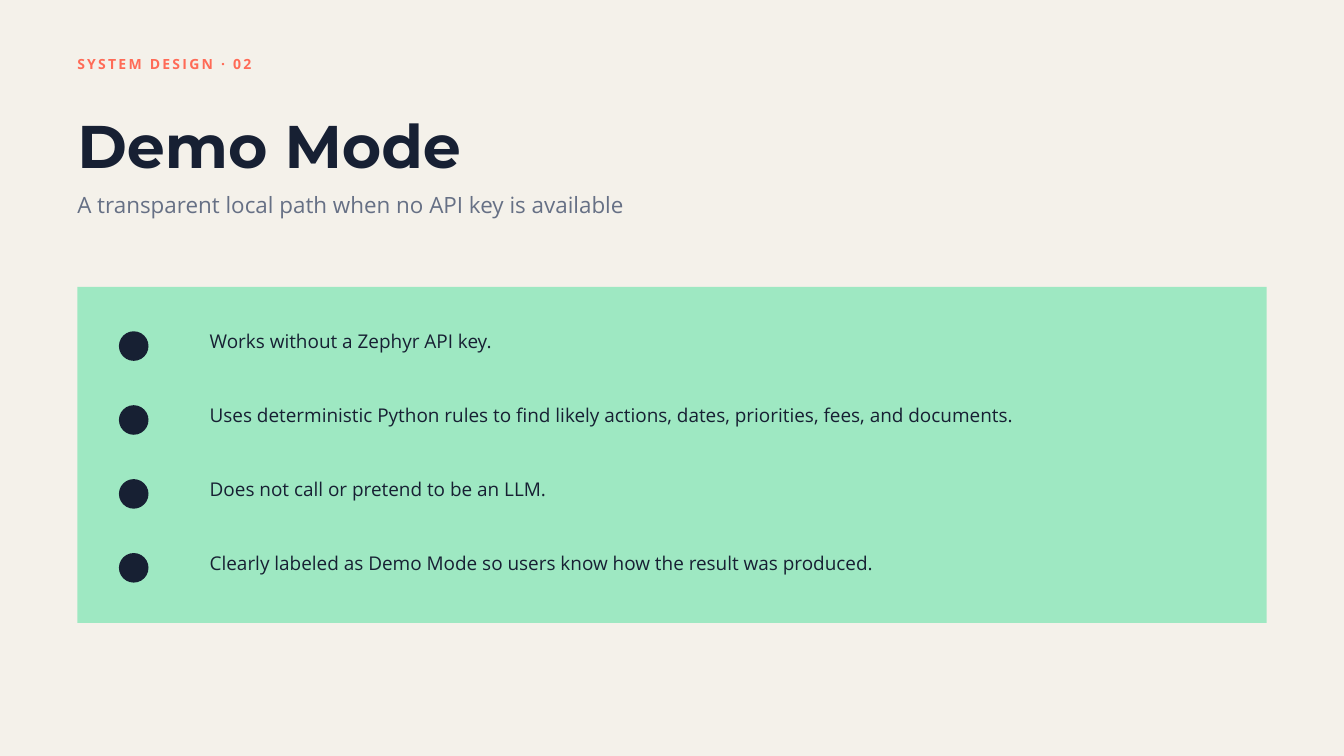
from lxml import etree
from pptx import Presentation
from pptx import util as u
from pptx.dml.color import RGBColor
from pptx.enum import shapes, text
from pptx.oxml.ns import qn

PAPER = RGBColor(0xF4, 0xF1, 0xEA)
CORAL = RGBColor(0xFF, 0x6B, 0x57)
INK = RGBColor(0x17, 0x20, 0x33)
GRAY = RGBColor(0x66, 0x70, 0x85)
MINT = RGBColor(0x9E, 0xE8, 0xC2)

KICKER = "SYSTEM DESIGN · 02"
TITLE = "Demo Mode"
SUBTITLE = "A transparent local path when no API key is available"
POINTS = [
    "Works without a Zephyr API key.",
    "Uses deterministic Python rules to find likely actions, dates, priorities, fees, and documents.",
    "Does not call or pretend to be an LLM.",
    "Clearly labeled as Demo Mode so users know how the result was produced.",
]

HEADING_FONT, BODY_FONT = "Montserrat", "Open Sans"
SLIDE_W, SLIDE_H = 20, 11.25
MARGIN = 1.15
PANEL_TOP, PANEL_H = 4.27, 5
DOT_LEFT, DOT_TOP, DOT_SIZE = 1.77, 4.93, 0.44
POINT_LEFT, POINT_TOP, POINT_W = 3.12, 4.86, 13.54
POINT_LEADING = 27.3
ROW_PITCH = 1.1


def place(sp, left, top, width, height):
    sp.left, sp.top = u.Inches(left), u.Inches(top)
    sp.width, sp.height = u.Inches(width), u.Inches(height)


def write(sp, lines, font, size, color, leading, bold=False, gap=0, tracking=0):
    tf = sp.text_frame
    tf.word_wrap = True
    tf.auto_size = text.MSO_AUTO_SIZE.NONE
    tf.vertical_anchor = text.MSO_ANCHOR.TOP
    tf.margin_left = tf.margin_top = tf.margin_right = tf.margin_bottom = 0
    for i, line in enumerate(lines):
        p = tf.add_paragraph() if i else tf.paragraphs[0]
        p.alignment = text.PP_ALIGN.LEFT
        p.line_spacing = u.Pt(leading)
        p.space_before = u.Pt(gap if i else 0)
        p.space_after = u.Pt(0)
        pPr = p._p.get_or_add_pPr()
        pPr.set("marL", "0")
        pPr.set("indent", "0")
        etree.SubElement(pPr, qn("a:buNone"))
        r = p.add_run()
        r.text = line
        r.font.name = font
        r.font.size = u.Pt(size)
        r.font.bold = bold
        r.font.color.rgb = color
        if tracking:
            r._r.get_or_add_rPr().set("spc", str(round(tracking * 100)))


def add_filled(s, kind, box, color):
    sp = s.shapes.add_shape(kind, 0, 0, 0, 0)
    place(sp, *box)
    sp.shadow.inherit = False
    sp.fill.solid()
    sp.fill.fore_color.rgb = color
    sp.line.fill.background()


def add_header(s):
    kicker = s.shapes.add_textbox(0, 0, 0, 0)
    place(kicker, MARGIN, 0.78, 6.25, 0.28)
    write(kicker, [KICKER], BODY_FONT, 15, CORAL, 21, bold=True, tracking=2.4)

    title = s.shapes.title
    place(title, MARGIN, 1.43, 9.38, 1.21)
    write(title, [TITLE], HEADING_FONT, 64.5, INK, 90.3, bold=True)

    subtitle = s.shapes.add_textbox(0, 0, 0, 0)
    place(subtitle, MARGIN, 2.77, 13.54, 0.43)
    write(subtitle, [SUBTITLE], BODY_FONT, 24, GRAY, 33.6)


def add_points(s):
    panel_box = (MARGIN, PANEL_TOP, SLIDE_W - 2 * MARGIN, PANEL_H)
    add_filled(s, shapes.MSO_SHAPE.RECTANGLE, panel_box, MINT)
    for i in range(len(POINTS)):
        dot_box = (DOT_LEFT, DOT_TOP + i * ROW_PITCH, DOT_SIZE, DOT_SIZE)
        add_filled(s, shapes.MSO_SHAPE.OVAL, dot_box, INK)

    body = s.placeholders[1]
    place(body, POINT_LEFT, POINT_TOP, POINT_W, len(POINTS) * ROW_PITCH)
    gap = ROW_PITCH * 72 - POINT_LEADING
    write(body, POINTS, BODY_FONT, 20.3, INK, POINT_LEADING, gap=gap)
    body.element.getparent().append(body.element)


def main():
    prs = Presentation()
    prs.slide_width, prs.slide_height = u.Inches(SLIDE_W), u.Inches(SLIDE_H)
    s = prs.slides.add_slide(prs.slide_layouts[1])
    s.background.fill.solid()
    s.background.fill.fore_color.rgb = PAPER
    add_header(s)
    add_points(s)
    prs.save("out.pptx")


if __name__ == "__main__":
    main()
